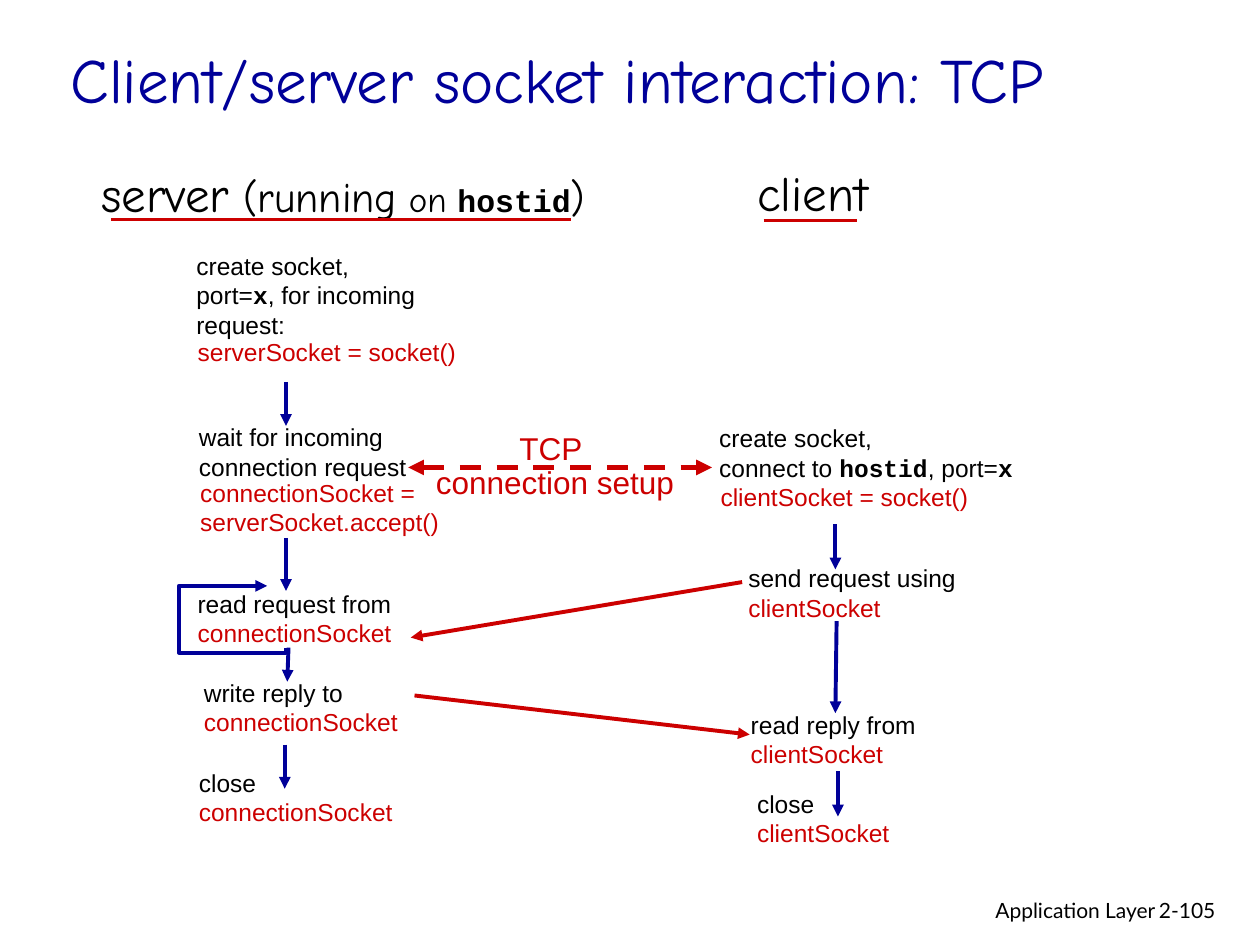
import pptx
import pptx.util
import pptx.dml.color
import pptx.enum.dml
import pptx.enum.shapes
import pptx.enum.text
import pptx.oxml
import pptx.oxml.ns

Inches = pptx.util.Inches
Pt = pptx.util.Pt
ALIGN = pptx.enum.text.PP_ALIGN
BLACK = pptx.dml.color.RGBColor(0x00, 0x00, 0x00)
NAVY = pptx.dml.color.RGBColor(0x00, 0x00, 0x99)
RED = pptx.dml.color.RGBColor(0xCC, 0x00, 0x00)

presentation = pptx.Presentation()
presentation.slide_width = Inches(10)
presentation.slide_height = Inches(7.5)
slide = presentation.slides.add_slide(presentation.slide_layouts[5])


def add_text(left, top, width, height, lines, align=ALIGN.LEFT, wrap=False):
    """Add a text box; each line is a list of (text, size, font, colour) runs."""
    box = slide.shapes.add_textbox(Inches(left), Inches(top), Inches(width), Inches(height))
    frame = box.text_frame
    frame.word_wrap = wrap
    frame.auto_size = pptx.enum.text.MSO_AUTO_SIZE.SHAPE_TO_FIT_TEXT
    frame.vertical_anchor = pptx.enum.text.MSO_ANCHOR.MIDDLE
    for index, runs in enumerate(lines):
        paragraph = frame.add_paragraph() if index else frame.paragraphs[0]
        paragraph.alignment = align
        for text, size, font, colour in runs:
            run = paragraph.add_run()
            run.text = text
            run.font.size = Pt(size)
            run.font.name = font
            run.font.bold = font == "Courier New"
            run.font.color.rgb = colour
    return box


def style_line(shape, colour, width, ends=(), dash=None):
    """Format an outline, with arrowheads at the given ends ("head", "tail")."""
    shape.line.color.rgb = colour
    shape.line.width = Pt(width)
    if dash:
        shape.line.dash_style = dash
    properties = shape.element.spPr
    outline = properties.find(pptx.oxml.ns.qn("a:ln"))
    namespace = pptx.oxml.ns.nsdecls("a")
    for end in ends:
        outline.append(pptx.oxml.parse_xml(f'<a:{end}End {namespace} type="triangle"/>'))
    properties.append(pptx.oxml.parse_xml(f"<a:effectLst {namespace}/>"))


# Title and footer
title = slide.shapes.title
title.left, title.top = Inches(0.46), Inches(0.1)
title.width, title.height = Inches(9.23), Inches(1.04)
title.text_frame.text = "Client/server socket interaction: TCP"
title.text_frame.vertical_anchor = pptx.enum.text.MSO_ANCHOR.MIDDLE
title_paragraph = title.text_frame.paragraphs[0]
title_paragraph.alignment = ALIGN.LEFT
title_font = title_paragraph.runs[0].font
title_font.name = "Comic Neue"
title_font.size = Pt(36)
title_font.color.rgb = NAVY

add_text(6.1, 7.07, 3.17, 0.3, [[("Application Layer", 12, "Lato", BLACK)]], ALIGN.RIGHT, True)
add_text(9.1, 7.07, 0.74, 0.3, [[("2-105", 12, "Lato", BLACK)]], wrap=True)

# Column headings
add_text(0.7, 1.25, 4.05, 0.57, [[
    ("server", 28, "Comic Neue", BLACK),
    (" (running", 24, "Comic Neue", BLACK),
    (" on", 20, "Comic Neue", BLACK),
    (" ", 18, "Comic Neue", BLACK),
    ("hostid", 18, "Courier New", BLACK),
    (")", 24, "Comic Neue", BLACK),
]], ALIGN.CENTER)
add_text(5.91, 1.24, 1.08, 0.57, [[("client", 28, "Comic Neue", BLACK)]], ALIGN.CENTER)

# Steps: position, size, wrapping, black lines, red lines; |...| marks monospaced words
steps = [
    (1.46, 1.94, 2.11, 0.8, True, ["create socket,", "port=|x|, for incoming request:"], []),
    (1.47, 2.62, 2.57, 0.34, True, [], ["serverSocket = socket()"]),
    (1.48, 3.3, 1.85, 0.57, False, ["wait for incoming", "connection request"], []),
    (1.49, 3.74, 2.3, 0.57, True, [], ["connectionSocket =", "serverSocket.accept()"]),
    (1.47, 4.62, 1.74, 0.57, False, ["read request from"], ["connectionSocket"]),
    (1.52, 5.33, 1.74, 0.57, False, ["write reply to"], ["connectionSocket"]),
    (1.48, 6.04, 1.74, 0.57, False, ["close"], ["connectionSocket"]),
    (5.61, 3.31, 2.53, 0.57, False, ["create socket,", "connect to |hostid|, port=|x|"], []),
    (5.62, 3.77, 2.58, 0.34, True, [], ["clientSocket = socket()"]),
    (5.84, 4.42, 1.85, 0.57, False, ["send request using"], ["clientSocket"]),
    (5.86, 5.58, 1.51, 0.57, False, ["read reply from"], ["clientSocket"]),
    (5.91, 6.21, 1.25, 0.57, False, ["close"], ["clientSocket"]),
]
for left, top, width, height, wrap, black_lines, red_lines in steps:
    lines = []
    for colour, texts in ((BLACK, black_lines), (RED, red_lines)):
        for text in texts:
            pieces = enumerate(text.split("|"))
            lines.append([(piece, 14, "Courier New" if index % 2 else "Arial", colour)
                          for index, piece in pieces if piece])
    add_text(left, top, width, height, lines, wrap=wrap)

# Heading underlines, flow arrows and messages
DASH = pptx.enum.dml.MSO_LINE.DASH
connections = [
    (0.88, 1.74, 4.53, 1.74, RED, 1.5, (), None),
    (6.06, 1.75, 6.8, 1.75, RED, 1.5, (), None),
    (3.24, 3.71, 5.65, 3.71, RED, 3, ("head", "tail"), DASH),
    (5.89, 4.62, 3.26, 5.06, RED, 2.25, ("tail",), None),
    (3.29, 5.52, 5.95, 5.83, RED, 2.25, ("tail",), None),
]
flow_arrows = [
    (2.27, 3.03, 2.27, 3.38), (2.27, 4.27, 2.27, 4.69),
    (2.29, 5.14, 2.28, 5.41), (2.26, 5.91, 2.26, 6.26),
    (6.63, 4.16, 6.63, 4.52), (6.64, 4.93, 6.63, 5.66), (6.65, 6.12, 6.65, 6.48),
]
connections += [(*ends, NAVY, 2.25, ("tail",), None) for ends in flow_arrows]
for x1, y1, x2, y2, colour, width, ends, dash in connections:
    connector = slide.shapes.add_connector(
        pptx.enum.shapes.MSO_CONNECTOR.STRAIGHT, Inches(x1), Inches(y1), Inches(x2), Inches(y2))
    style_line(connector, colour, width, ends, dash)

setup_label = add_text(3.36, 3.39, 2.09, 0.64, [
    [("TCP ", 18, "Arial", RED)],
    [("connection setup", 18, "Arial", RED)],
], ALIGN.CENTER)
for paragraph in setup_label.text_frame.paragraphs:
    paragraph.line_spacing = 0.9

# Loop back to the next read
builder = slide.shapes.build_freeform(Inches(2.27), Inches(5.14))
loop_points = [(2.27, 5.18), (1.42, 5.18), (1.42, 4.65), (2.12, 4.65)]
builder.add_line_segments([(Inches(x), Inches(y)) for x, y in loop_points], close=False)
read_loop = builder.convert_to_shape()
read_loop.fill.background()
style_line(read_loop, NAVY, 2.25, ("tail",))

presentation.save("out.pptx")
